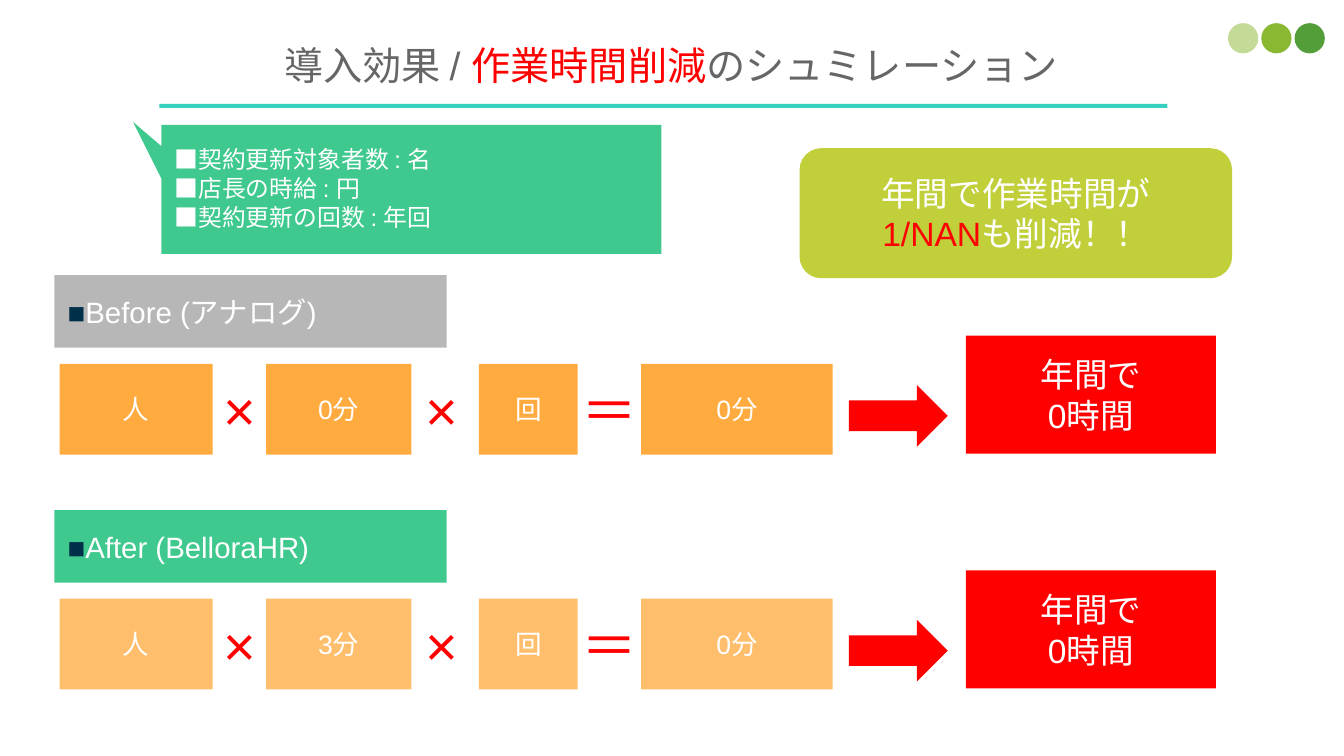
"""Build the slide that compares yearly working time before and after introduction."""
from lxml.etree import SubElement
from pptx import Presentation
from pptx.dml.color import RGBColor
from pptx.enum.shapes import MSO_SHAPE as Shape
from pptx.enum.text import MSO_ANCHOR as Anchor, MSO_AUTO_SIZE as AutoSize, PP_ALIGN as Align
from pptx.oxml.ns import qn
from pptx.util import Inches, Pt

COLORS = {
    "white": "FFFFFF", "title": "666666", "red": "FF0000", "navy": "002F4A",
    "teal": "36D1BE", "green": "3FC98E", "gray": "B7B7B7", "orange": "FFAB40",
    "lime": "C0CF3A", "dark dot": "549E39", "dot": "8AB833",
}
TITLE = [[("導入効果 / ", "title"), ("作業時間削減", "red"), ("のシュミレーション", "title")]]
CONDITIONS = [[("■契約更新対象者数 : 名", "white")], [("■店長の時給 : 円", "white")],
              [("■契約更新の回数 : 年回", "white")]]
SAVING = [[("年間で作業時間が", "white")], [("1/NAN", "red"), ("も削減！！", "white")]]
YEARLY = [[("年間で", "white")], [("0時間", "white")]]
CALLOUT = [(1.6, 1.24), (6.56, 1.24), (6.56, 2.52), (1.6, 2.52),
           (1.6, 1.77), (1.32, 1.21), (1.6, 1.45)]
DOTS = [("dark dot", 100), ("dot", 100), ("dot", 50)]
SECTIONS = [
    ("Before (アナログ)", "gray", 100, ["人", "0分", "回", "0分"]),
    ("After (BelloraHR)", "green", 77, ["人", "3分", "回", "0分"]),
]
FACTORS = [(0.59, 1.52), (2.64, 1.44), (4.75, 0.98), (6.36, 1.9)]
OPERATORS = [("×", 2.09), ("×", 4.09), ("＝", 5.64)]
FIRST_TOP, SECTION_STEP = 2.73, 2.33
INSET = 0.13


def write(shape, lines, size, align=Align.LEFT, anchor=Anchor.MIDDLE, left_inset=INSET):
    """Write lines of (text, color) spans as one paragraph with line breaks."""
    frame = shape.text_frame
    frame.word_wrap, frame.auto_size = True, AutoSize.NONE
    frame.vertical_anchor = anchor
    frame.margin_left = Inches(left_inset)
    frame.margin_top = frame.margin_right = frame.margin_bottom = Inches(INSET)
    para = frame.paragraphs[0]
    para.alignment = align
    for index, line in enumerate(lines):
        if index:
            para.add_line_break()
        for text, color in line:
            span = para.add_run()
            span.text = text
            span.font.name, span.font.size = "Arial", Pt(size)
            span.font.color.rgb = RGBColor.from_string(COLORS[color])


def paint(shape, color, opacity=100):
    """Give a shape a flat fill without line or shadow."""
    shape.shadow.inherit = False
    shape.line.fill.background()
    shape.fill.solid()
    shape.fill.fore_color.rgb = RGBColor.from_string(COLORS[color])
    if opacity < 100:
        fill = shape._element.spPr.find(qn("a:solidFill"))
        SubElement(fill[0], qn("a:alpha")).set("val", str(opacity * 1000))


def add_box(slide, place, color, kind=Shape.RECTANGLE, opacity=100):
    """Add a painted preset shape at left, top, width, height."""
    box = slide.shapes.add_shape(kind, *map(Inches, place))
    paint(box, color, opacity)
    return box


def add_callout(slide):
    """Add the speech outline with the conditions."""
    points = [(Inches(x), Inches(y)) for x, y in CALLOUT]
    builder = slide.shapes.build_freeform(*points[0])
    builder.add_line_segments(points[1:], close=True)
    callout = builder.convert_to_shape()
    paint(callout, "green")
    write(callout, CONDITIONS, 17, left_inset=0.28 + INSET)


def add_section(slide, top, heading, color, opacity, values):
    """Add a heading and its calculation row."""
    header = add_box(slide, (0.54, top, 3.89, 0.72), color)
    write(header, [[("■", "navy"), (heading, "white")]], 21)
    row_top = top + 0.88
    for value, (left, width) in zip(values, FACTORS):
        box = add_box(slide, (left, row_top, width, 0.9), "orange", opacity=opacity)
        write(box, [[(value, "white")]], 19, Align.CENTER)
    for sign, left in OPERATORS:
        place = (left, row_top - 0.01, 0.76, 0.93)
        box = slide.shapes.add_textbox(*map(Inches, place))
        write(box, [[(sign, "red")]], 40, anchor=Anchor.TOP)
    add_box(slide, (8.42, top + 1.09, 0.98, 0.61), "red", Shape.RIGHT_ARROW)
    result = add_box(slide, (9.58, top + 0.6, 2.48, 1.17), "red")
    write(result, YEARLY, 24, Align.CENTER)


def main():
    """Assemble and save the deck."""
    deck = Presentation()
    deck.slide_width, deck.slide_height = Inches(13.33), Inches(7.5)
    slide = deck.slides.add_slide(deck.slide_layouts[5])
    title = slide.shapes.title
    title.left, title.top = Inches(2.69), Inches(0.28)
    title.width, title.height = Inches(10.86), Inches(0.74)
    write(title, TITLE, 28, anchor=Anchor.TOP)
    for index, (color, opacity) in enumerate(DOTS):
        add_box(slide, (12.84 - 0.33 * index, 0.23, 0.3, 0.3), color, Shape.OVAL, opacity)
    add_box(slide, (1.58, 1.03, 10, 0.04), "teal")
    add_callout(slide)
    for index, section in enumerate(SECTIONS):
        add_section(slide, FIRST_TOP + SECTION_STEP * index, *section)
    saving = add_box(slide, (7.93, 1.47, 4.29, 1.29), "lime", Shape.ROUNDED_RECTANGLE)
    write(saving, SAVING, 24, Align.CENTER)
    deck.save("out.pptx")


if __name__ == "__main__":
    main()
